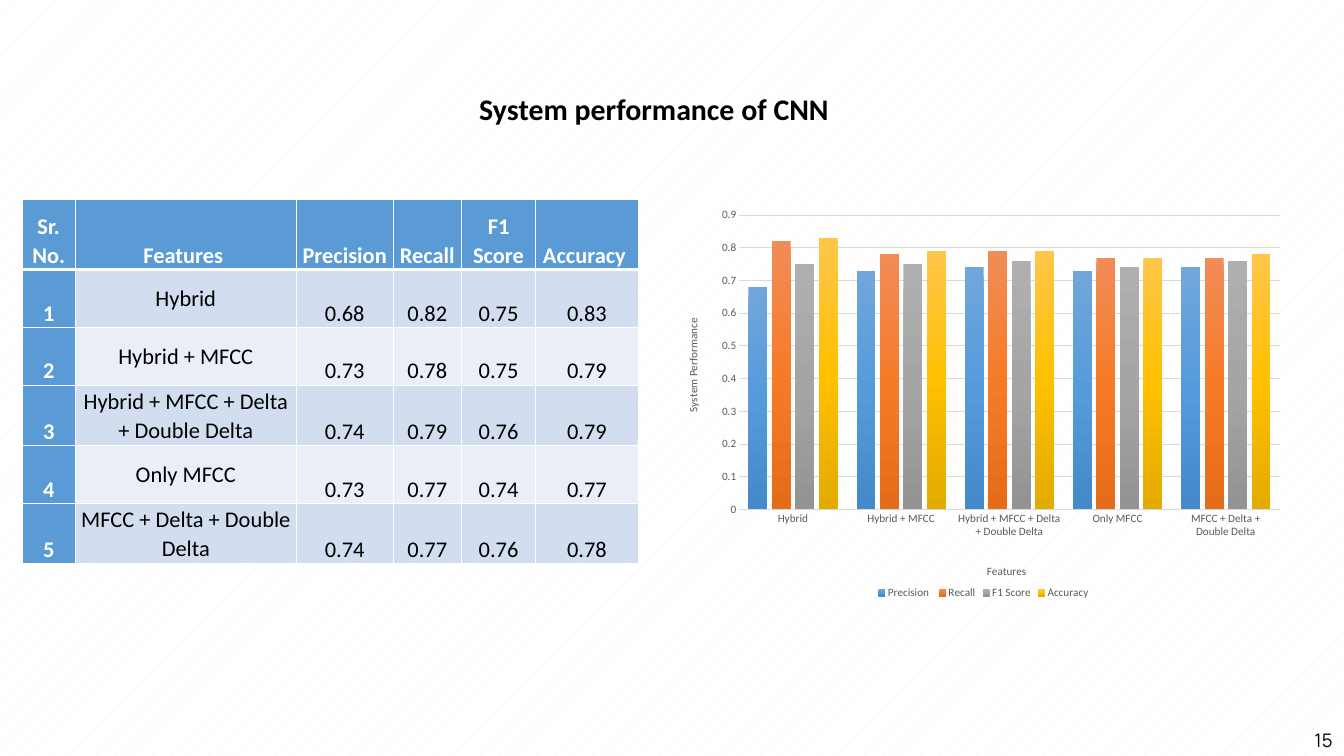
from copy import deepcopy
from dataclasses import dataclass

from lxml import etree
from pptx import Presentation
from pptx.chart.data import CategoryChartData
from pptx.dml.color import RGBColor
from pptx.enum.chart import XL_CHART_TYPE, XL_LEGEND_POSITION, XL_TICK_MARK
from pptx.enum.dml import MSO_PATTERN
from pptx.enum.text import MSO_ANCHOR, PP_ALIGN
from pptx.oxml import parse_xml
from pptx.oxml.ns import nsdecls, qn
from pptx.util import Pt

COLUMNS = XL_CHART_TYPE.COLUMN_CLUSTERED
LEGEND_BOTTOM = XL_LEGEND_POSITION.BOTTOM
NO_TICK = XL_TICK_MARK.NONE
DOTS = MSO_PATTERN.PERCENT_5
BOTTOM, MIDDLE = MSO_ANCHOR.BOTTOM, MSO_ANCHOR.MIDDLE
CENTER, RIGHT = PP_ALIGN.CENTER, PP_ALIGN.RIGHT
EMU_PER_PX = 9144


@dataclass(frozen=True)
class Theme:
    font: str = "Calibri"
    number_font: str = "Manrope"
    text: str = "000000"
    white: str = "FFFFFF"
    dots: str = "FBF3E4"
    head: str = "5B9BD5"
    bands: tuple = ("D2DEEF", "EAEFF7")
    label: str = "595959"
    grid: str = "D9D9D9"
    gradients: tuple = (
        ("71A6DB", "559BDB", "448ACA"),
        ("F18C57", "F67B28", "E56C19"),
        ("AFAFAF", "A5A5A5", "939393"),
        ("FFC64B", "FFC000", "E3AB00"),
    )
    title_size: int = 32
    cell_size: int = 24
    number_size: int = 20
    label_size: int = 12


def px(length):
    return length * EMU_PER_PX


def rgb(code):
    return RGBColor.from_string(code)


def style(font, name, size, color, bold=False):
    font.name = name
    font.size = Pt(size)
    font.bold = bold
    font.color.rgb = rgb(color)


def place(element, index, **spots):
    previous = element.find(qn("c:layout"))
    if previous is not None:
        element.remove(previous)
    layout = parse_xml(f"<c:layout {nsdecls('c')}><c:manualLayout/></c:layout>")
    for tag, value in spots.items():
        etree.SubElement(layout[0], qn(f"c:{tag}")).set("val", str(value))
    element.insert(index, layout)


class Deck:
    def __init__(self, theme, width, height):
        self.theme = theme
        self.presentation = Presentation()
        self.presentation.slide_width = px(width)
        self.presentation.slide_height = px(height)
        self.slide = self.presentation.slides.add_slide(self.presentation.slide_layouts[6])

    def background(self):
        fill = self.slide.background.fill
        fill.patterned()
        fill.pattern = DOTS
        fill.fore_color.rgb = rgb(self.theme.dots)
        fill.back_color.rgb = rgb(self.theme.white)

    def text(self, words, box, font, size, align, bold=False, inset=None, spacing=None):
        frame = self.slide.shapes.add_textbox(*map(px, box)).text_frame
        frame.word_wrap = True
        if inset is not None:
            frame.margin_left = frame.margin_right = px(inset)
            frame.margin_top = frame.margin_bottom = px(inset)
        frame.text = words
        paragraph = frame.paragraphs[0]
        paragraph.alignment = align
        if spacing:
            paragraph.line_spacing = Pt(spacing)
        style(paragraph.runs[0].font, font, size, self.theme.text, bold)

    def border(self, cell, side, width):
        cell._tc.get_or_add_tcPr().append(parse_xml(
            f'<a:ln{side} {nsdecls("a")} w="{Pt(width)}"><a:solidFill>'
            f'<a:srgbClr val="{self.theme.white}"/></a:solidFill></a:ln{side}>'))

    def cell(self, cell, words, row, column):
        theme = self.theme
        heading = row == 0 or column == 0
        cell.text = words
        cell.margin_left = cell.margin_right = px(7)
        cell.margin_top = cell.margin_bottom = 0
        cell.vertical_anchor = MIDDLE if column == 1 and not heading else BOTTOM
        paragraph = cell.text_frame.paragraphs[0]
        paragraph.alignment = CENTER
        paragraph.line_spacing = 1.07
        style(paragraph.runs[0].font, theme.font, theme.cell_size,
              theme.white if heading else theme.text, heading)
        widths = {"L": 1, "R": 1, "T": 3 if row == 1 else 1, "B": 3 if row == 0 else 1}
        for side, width in widths.items():
            self.border(cell, side, width)
        cell.fill.solid()
        cell.fill.fore_color.rgb = rgb(theme.head if heading else theme.bands[(row - 1) % 2])

    def table(self, rows, left, top, widths, heights):
        box = map(px, (left, top, sum(widths), sum(heights)))
        table = self.slide.shapes.add_table(len(heights), len(widths), *box).table
        for column, width in zip(table.columns, widths):
            column.width = px(width)
        for row, height in zip(table.rows, heights):
            row.height = px(height)
        for r, values in enumerate(rows):
            for c, words in enumerate(values):
                self.cell(table.cell(r, c), words, r, c)

    def gradient(self, series, colors):
        fill = series.format.fill
        fill.gradient()
        fill.gradient_angle = 270
        stop_list = series._element.xpath(".//a:gsLst")[0]
        stop_list.append(deepcopy(stop_list[0]))
        for stop, position, color in zip(fill.gradient_stops, (0, 0.5, 1), colors):
            stop.position = position
            stop.color.rgb = rgb(color)

    def axis(self, axis, title, x, y):
        theme = self.theme
        axis.major_tick_mark = axis.minor_tick_mark = NO_TICK
        style(axis.tick_labels.font, theme.font, theme.label_size, theme.label)
        frame = axis.axis_title.text_frame
        frame.text = title
        style(frame.paragraphs[0].runs[0].font, theme.font, theme.label_size, theme.label)
        place(axis.axis_title._element, 1, xMode="edge", yMode="edge", x=x, y=y)

    def chart(self, categories, series_values, box):
        theme = self.theme
        data = CategoryChartData()
        data.categories = categories
        for name, values in series_values:
            data.add_series(name, values)
        chart = self.slide.shapes.add_chart(COLUMNS, *map(px, box), data).chart
        style(chart.font, theme.font, theme.label_size, theme.label)
        chart.has_title = False
        chart.has_legend = True
        chart.legend.position = LEGEND_BOTTOM
        chart.legend.include_in_layout = False
        style(chart.legend.font, theme.font, theme.label_size, theme.label)

        plot = chart.plots[0]
        plot.vary_by_categories = False
        plot.gap_width = 100
        plot.overlap = -24
        for series, colors in zip(plot.series, theme.gradients):
            self.gradient(series, colors)

        features, performance = chart.category_axis, chart.value_axis
        self.axis(features, "Features", 0.5, 0.9)
        self.axis(performance, "System Performance", 0.01, 0.29)
        features.format.line.color.rgb = rgb(theme.grid)
        features.format.line.width = Pt(1)
        performance.minimum_scale, performance.maximum_scale = 0, 0.9
        performance.major_unit = 0.1
        performance.format.line.fill.background()
        gridlines = performance.major_gridlines.format.line
        gridlines.color.rgb = rgb(theme.grid)
        gridlines.width = Pt(0.75)
        place(chart._chartSpace.chart.plotArea, 0, layoutTarget="inner",
              xMode="edge", yMode="edge", x=0.1, y=0.04, w=0.88, h=0.73)


def main():
    theme = Theme()
    headers = ["Sr. No.", "Features ", "Precision ", "Recall", "F1 Score", "Accuracy "]
    results = {
        "Hybrid": (0.68, 0.82, 0.75, 0.83),
        "Hybrid + MFCC": (0.73, 0.78, 0.75, 0.79),
        "Hybrid + MFCC + Delta + Double Delta": (0.74, 0.79, 0.76, 0.79),
        "Only MFCC": (0.73, 0.77, 0.74, 0.77),
        "MFCC + Delta + Double Delta": (0.74, 0.77, 0.76, 0.78),
    }
    rows = [headers] + [[str(number), feature, *map(str, scores)]
                        for number, (feature, scores) in enumerate(results.items(), 1)]

    deck = Deck(theme, 2000, 1125)
    deck.background()
    deck.text("15", (1766, 1079, 217, 37), theme.number_font, theme.number_size, RIGHT,
              inset=0, spacing=28)
    deck.text("System performance of CNN ", (57, 130, 1843, 64), theme.font,
              theme.title_size, CENTER, bold=True)
    deck.table(rows, 33, 296, (79, 329, 144, 102, 110, 153), (105, 86, 86, 90, 86, 90))
    deck.chart(list(results), zip(headers[2:], zip(*results.values())), (1008, 296, 915, 600))
    deck.presentation.save("out.pptx")


if __name__ == "__main__":
    main()
